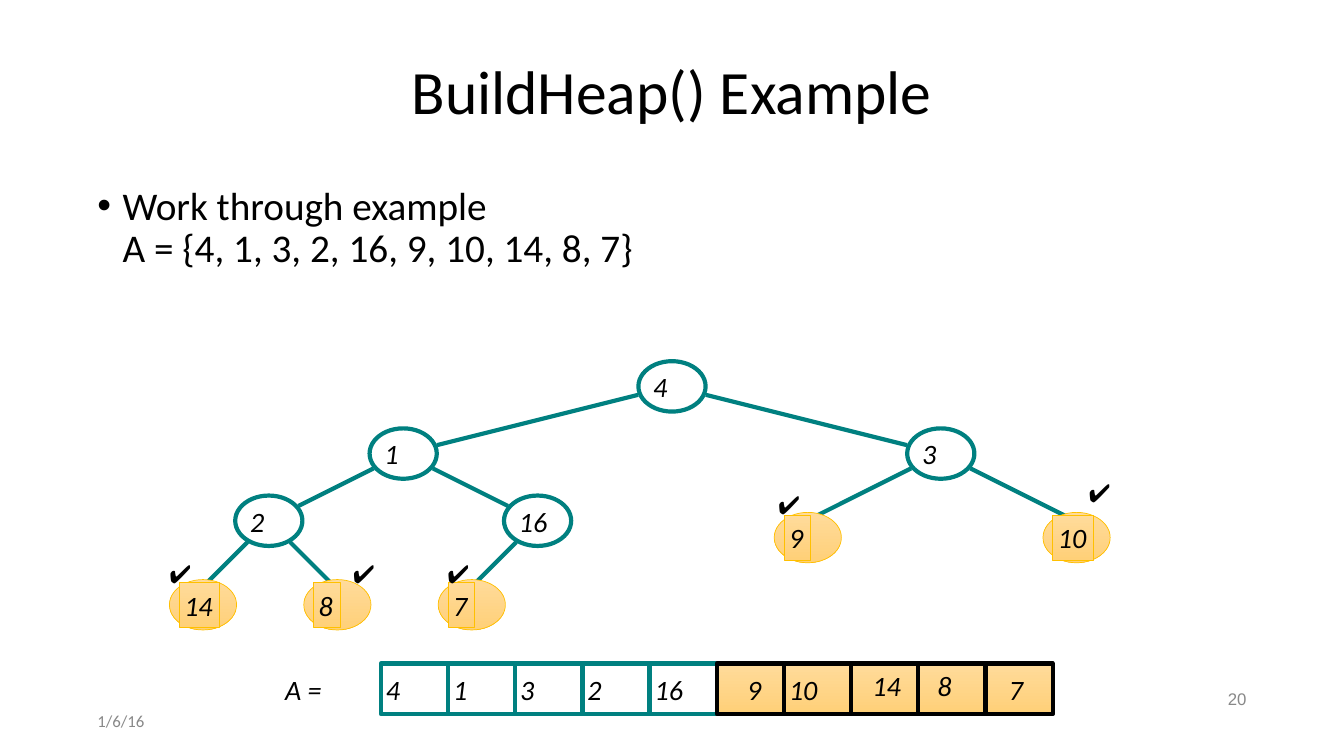
from math import hypot

from lxml.etree import SubElement
from pptx import Presentation
from pptx.dml.color import RGBColor
from pptx.enum.shapes import MSO_CONNECTOR, MSO_SHAPE
from pptx.enum.text import MSO_ANCHOR, PP_ALIGN
from pptx.oxml.ns import qn
from pptx.util import Pt

BLACK = RGBColor(0x00, 0x00, 0x00)
WHITE = RGBColor(0xFF, 0xFF, 0xFF)
GRAY = RGBColor(0x88, 0x88, 0x88)
TEAL = RGBColor(0x00, 0x80, 0x80)
GOLD = RGBColor(0xFF, 0xC0, 0x00)
LIGHT_ORANGE = RGBColor(0xFF, 0xDB, 0x9B)
ORANGE = RGBColor(0xFF, 0xD0, 0x78)

HEAP = [4, 1, 3, 2, 16, 9, 10, 14, 8, 7]
FIRST_LEAF = len(HEAP) // 2
CELL_WIDTH, CELL_HEIGHT = 48, 36
LEVEL_HEIGHT = 48
EDGE_REACH = 1.06
LEAF_SHIFT = (1, 12)
CHECK_OFFSETS = {9: (-23.8, -25.7), 10: (6, -34.3), 14: (-26.6, -24.7),
                 8: (8.4, -24.7), 7: (-20, -24.7)}
CELL_TEXT_OFFSETS = {9: (18, 2.5), 14: (11.5, 0), 8: (10, 0), 7: (13, 2.5)}


def write_text(shape, text, size, color=BLACK, font="Calibri", italic=False,
               align=PP_ALIGN.LEFT, anchor=MSO_ANCHOR.MIDDLE, wrap=True):
    frame = shape.text_frame
    frame.text = text
    frame.word_wrap = wrap
    frame.vertical_anchor = anchor
    frame.margin_left = frame.margin_right = Pt(3.6)
    frame.margin_top = frame.margin_bottom = Pt(3.6)
    paragraph = frame.paragraphs[0]
    paragraph.alignment = align
    for run in paragraph.runs:
        run.font.size = Pt(size)
        run.font.name = font
        run.font.italic = italic
        run.font.color.rgb = color
    return paragraph


def add_text(slide, box, text, size, **style):
    shape = slide.shapes.add_textbox(*map(Pt, box))
    return write_text(shape, text, size, **style)


def add_number(slide, left, top, text):
    width = {1: 18, 2: 29, 3: 34.5}[len(text)]
    add_text(slide, (left, top, width, 31), text, 20, italic=True, wrap=False)


def add_block(slide, kind, box, line_color, line_width, highlighted):
    shape = slide.shapes.add_shape(kind, *map(Pt, box))
    shape.shadow.inherit = False
    shape.line.color.rgb = line_color
    shape.line.width = Pt(line_width)
    if highlighted:
        shape.fill.gradient()
        shape.fill.gradient_angle = 270
        for stop, color in zip(shape.fill.gradient_stops, (LIGHT_ORANGE, ORANGE)):
            stop.color.rgb = color
    else:
        shape.fill.solid()
        shape.fill.fore_color.rgb = WHITE
    return shape


def add_title(slide, box):
    add_text(slide, box, "BuildHeap() Example", 44,
             align=PP_ALIGN.CENTER).line_spacing = 0.9


def add_body(slide, box):
    values = ", ".join(map(str, HEAP))
    paragraph = add_text(slide, box, f"Work through example\vA = {{{values}}}", 28,
                         anchor=MSO_ANCHOR.TOP)
    paragraph.line_spacing = 0.9
    properties = paragraph._p.get_or_add_pPr()
    properties.set("marL", str(Pt(18)))
    properties.set("indent", str(Pt(-18)))
    SubElement(properties, qn("a:buFont")).set("typeface", "Arial")
    SubElement(properties, qn("a:buChar")).set("char", "•")


def node_center(index, box):
    left, top, width = box
    depth = (index + 1).bit_length() - 1
    row_length = 2 ** depth
    position = index + 1 - row_length
    return (left + width * (position + 0.5) / row_length,
            top + CELL_HEIGHT / 2 + depth * LEVEL_HEIGHT)


def add_edge(slide, parent, child, child_is_leaf):
    across, down = child[0] - parent[0], child[1] - parent[1]
    share = EDGE_REACH / hypot(across / (CELL_WIDTH / 2), down / (CELL_HEIGHT / 2))
    end_share = 1 if child_is_leaf else 1 - share
    points = [center + delta * part for part in (share, end_share)
              for center, delta in zip(parent, (across, down))]
    edge = slide.shapes.add_connector(MSO_CONNECTOR.STRAIGHT, *map(Pt, points))
    edge.line.color.rgb = TEAL
    edge.line.width = Pt(3)
    SubElement(edge._element.spPr, qn("a:effectLst"))


def add_node(slide, center, value):
    left, top = center[0] - CELL_WIDTH / 2, center[1] - CELL_HEIGHT / 2
    add_block(slide, MSO_SHAPE.OVAL, (left, top, CELL_WIDTH, CELL_HEIGHT),
              TEAL, 3, False)
    add_number(slide, left + 7, top + 2.5, str(value))


def add_leaf(slide, center, value):
    left = center[0] - CELL_WIDTH / 2 + LEAF_SHIFT[0]
    top = center[1] - CELL_HEIGHT / 2 + LEAF_SHIFT[1]
    add_block(slide, MSO_SHAPE.OVAL, (left, top, CELL_WIDTH, CELL_HEIGHT),
              GOLD, 0.5, True)
    width = 19 if value < 10 else 29
    label = add_block(slide, MSO_SHAPE.RECTANGLE, (left + 7, top + 2, width, 32),
                      GOLD, 0.5, True)
    write_text(label, str(value), 20, italic=True, wrap=False)
    across, down = CHECK_OFFSETS[value]
    add_text(slide, (center[0] + across, center[1] + down, 24, 25), "✔︎", 18,
             anchor=MSO_ANCHOR.TOP, wrap=False)


def add_tree(slide, box):
    centers = [node_center(index, box) for index in range(len(HEAP))]
    for index in range(1, len(HEAP)):
        add_edge(slide, centers[(index - 1) // 2], centers[index], index >= FIRST_LEAF)
    for index, (center, value) in enumerate(zip(centers, HEAP)):
        draw = add_leaf if index >= FIRST_LEAF else add_node
        draw(slide, center, value)


def add_array(slide, left, top):
    add_number(slide, left - 72, top + 2.5, "A =")
    for index, value in enumerate(HEAP):
        cell_left = left + index * CELL_WIDTH
        is_leaf = index >= FIRST_LEAF
        add_block(slide, MSO_SHAPE.RECTANGLE, (cell_left, top, CELL_WIDTH, CELL_HEIGHT),
                  BLACK if is_leaf else TEAL, 3, is_leaf)
        across, down = CELL_TEXT_OFFSETS.get(value, (0, 2.5))
        add_number(slide, cell_left + across, top + down, str(value))


def add_footer(slide, left, top, width):
    add_text(slide, (left, top + 14.5, 216, 21), "1/6/16", 12, color=GRAY)
    add_text(slide, (left + width - 216, top, 216, 21), "20", 12, color=GRAY,
             font="Arial", align=PP_ALIGN.RIGHT).line_spacing = 0.9


def main():
    presentation = Presentation()
    presentation.slide_width, presentation.slide_height = Pt(960), Pt(540)
    slide = presentation.slides.add_slide(presentation.slide_layouts[6])
    add_footer(slide, 66, 489.5, 828)
    add_title(slide, (66, 29, 828, 77))
    add_body(slide, (66, 129.5, 585, 84))
    add_tree(slide, (96, 258, 768))
    add_array(slide, 272, 474)
    presentation.save("out.pptx")


if __name__ == "__main__":
    main()
